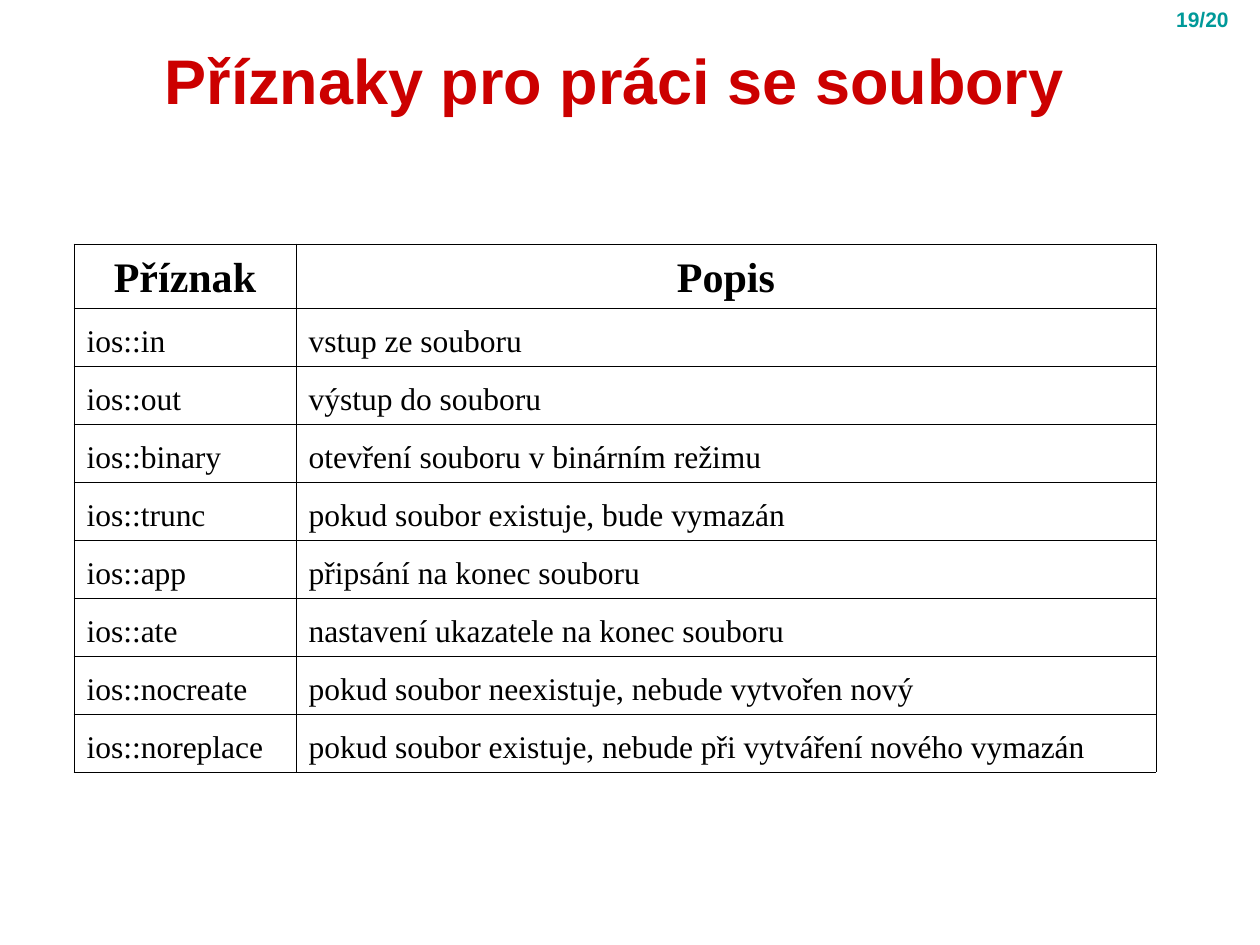
from lxml.etree import SubElement as Sub
from pptx import Presentation
from pptx.dml.color import RGBColor as RGB
from pptx.enum.text import MSO_ANCHOR as Anchor, MSO_AUTO_SIZE as Fit, PP_ALIGN as Align
from pptx.oxml.ns import qn
from pptx.util import Pt

PX = 914400 // 126
HUES = {"title": "CC0000", "page": "009999", "ink": "000000"}
FLAGS = [
    ("Příznak", "Popis"),
    ("ios::in", "vstup ze souboru"),
    ("ios::out", "výstup do souboru"),
    ("ios::binary", "otevření souboru v binárním režimu"),
    ("ios::trunc", "pokud soubor existuje, bude vymazán"),
    ("ios::app", "připsání na konec souboru"),
    ("ios::ate", "nastavení ukazatele na konec souboru"),
    ("ios::nocreate", "pokud soubor neexistuje, nebude vytvořen nový"),
    ("ios::noreplace", "pokud soubor existuje, nebude při vytváření nového vymazán"),
]


def write(frame, text, size=18, font="Times New Roman", hue="ink",
          bold=False, align=Align.LEFT, before=0):
    para = frame.paragraphs[0]
    para.alignment = align
    para.space_before = Pt(before)
    run = para.add_run()
    run.text = text
    run.font.size = Pt(size)
    run.font.name = font
    run.font.bold = bold
    run.font.color.rgb = RGB.from_string(HUES[hue])


class Deck:
    def __init__(self, wide, high):
        self.show = Presentation()
        self.show.slide_width = wide * PX
        self.show.slide_height = high * PX
        self.slide = self.show.slides.add_slide(self.show.slide_layouts[6])

    def label(self, text, left, top, wide, high, size, hue):
        box = self.slide.shapes.add_textbox(left * PX, top * PX, wide * PX, high * PX)
        frame = box.text_frame
        frame.word_wrap = True
        frame.auto_size = Fit.SHAPE_TO_FIT_TEXT
        write(frame, text, size=size, font="Arial", hue=hue, bold=True,
              align=Align.CENTER, before=size * 0.625)

    def border(self, cell):
        props = cell._tc.get_or_add_tcPr()
        for side in ("lnL", "lnR", "lnT", "lnB"):
            line = Sub(props, qn(f"a:{side}"), w=str(Pt(0.45)))
            fill = Sub(line, qn("a:solidFill"))
            Sub(fill, qn("a:srgbClr"), val=HUES["ink"])

    def grid(self, data, left, top, cols, rows):
        frame = self.slide.shapes.add_table(
            len(rows), len(cols), left * PX, top * PX, sum(cols) * PX, sum(rows) * PX)
        table = frame.table
        table.horz_banding = False
        table.first_row = False
        for col, wide in zip(table.columns, cols):
            col.width = wide * PX
        for row, high, texts in zip(table.rows, rows, data):
            row.height = high * PX
            head = texts is data[0]
            for cell, text in zip(row.cells, texts):
                cell.vertical_anchor = Anchor.BOTTOM
                self.border(cell)
                cell.fill.background()
                write(cell.text_frame, text, size=24 if head else 18, bold=head,
                      align=Align.CENTER if head else Align.LEFT)


def main():
    deck = Deck(1260, 945)
    deck.label("Příznaky pro práci se soubory", 123, 35, 983, 88, 36, "title")
    deck.grid(FLAGS, 74, 244, [222, 860], [64] + [58] * 8)
    deck.label("19/20", 1145, 0, 115, 38, 12, "page")
    deck.show.save("out.pptx")


if __name__ == "__main__":
    main()
